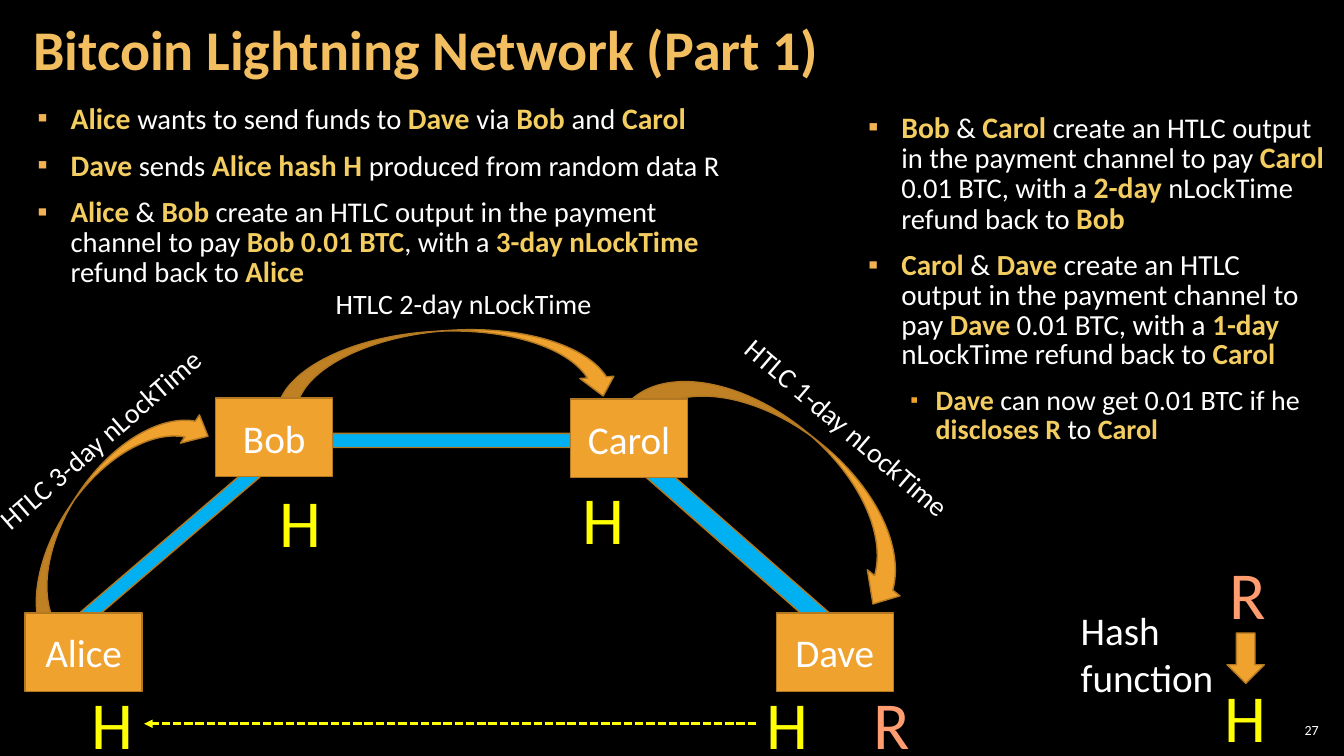
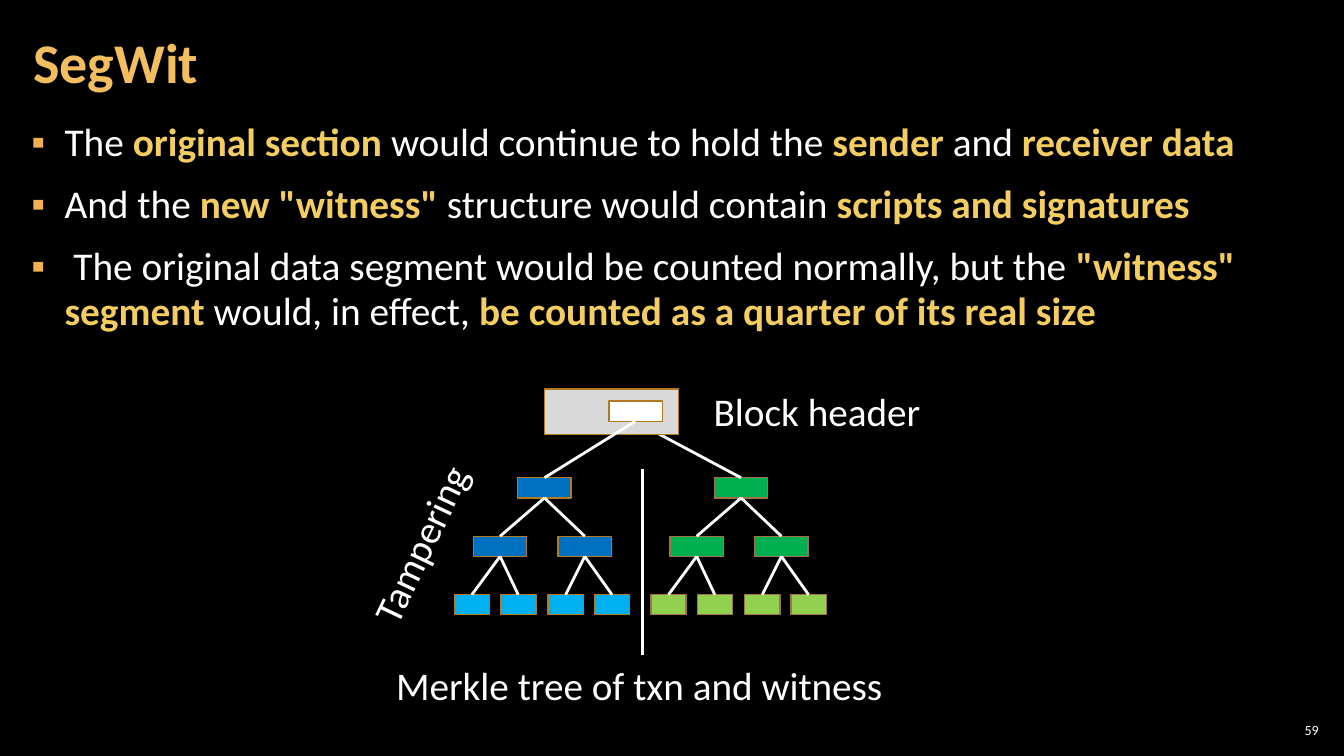
from lxml.etree import SubElement
from pptx import Presentation
from pptx.dml.color import RGBColor
from pptx.enum.dml import MSO_LINE
from pptx.enum.shapes import MSO_CONNECTOR, MSO_SHAPE
from pptx.enum.text import MSO_ANCHOR, MSO_AUTO_SIZE, PP_ALIGN
from pptx.oxml.ns import qn
from pptx.util import Inches, Pt

FONT = "Calibri"
COLORS = {
    "background": "000000",
    "text": "FFFFFF",
    "title": "F3BE60",
    "emphasis": "F3CD60",
    "bullet": "F2B254",
    "orange": "F0A22E",
    "outline": "B27822",
    "witness_outline": "A27242",
    "channel": "00B0F0",
    "hash": "FFFF00",
    "secret": "FF9D71",
    "header": "D9D9D9",
    "dark_blue": "0070C0",
    "dark_green": "00B050",
    "light_green": "92D050",
}
TITLE_LAYOUT, TWO_CONTENT_LAYOUT = 1, 3

NODE_SIZE = (1.16, 0.78)
MERKLE_ROOT = (6.3, 4.18)
TREE_TOPS = (4.74, 5.32, 5.9)
TREE_WIDTHS = (0.53, 0.53, 0.35)
TREE_OFFSETS = ((0,), (-0.44, 0.4), (-0.72, -0.26, 0.21, 0.67))
TREE_NODE_HEIGHT = 0.2


def color(name):
    return RGBColor.from_string(COLORS[name])


def style_font(font, size, color_name="text", bold=False):
    font.name = FONT
    font.size = Pt(size)
    font.bold = bold
    font.color.rgb = color(color_name)


def place(shape, box):
    shape.left, shape.top, shape.width, shape.height = map(Inches, box)


def set_margins(frame, horizontal, vertical=0.04):
    frame.margin_left = frame.margin_right = Inches(horizontal)
    frame.margin_top = frame.margin_bottom = Inches(vertical)


def set_title(slide, text, box):
    title = slide.shapes.title
    place(title, box)
    frame = title.text_frame
    frame.auto_size = MSO_AUTO_SIZE.NONE
    frame.vertical_anchor = MSO_ANCHOR.MIDDLE
    set_margins(frame, 0.12)
    paragraph = frame.paragraphs[0]
    paragraph.text = text
    paragraph.alignment = PP_ALIGN.LEFT
    paragraph.line_spacing = 0.9
    style_font(paragraph.font, 40, "title", bold=True)


def set_bullet(paragraph, level):
    margin, hanging, color_name, percent = (
        (0.33, 0.33, "bullet", 100), (0.67, 0.25, "orange", 80))[level]
    paragraph.level = level
    properties = paragraph._p.get_or_add_pPr()
    properties.set("marL", str(Inches(margin)))
    properties.set("indent", str(-Inches(hanging)))
    bullet_color = SubElement(properties, qn("a:buClr"))
    SubElement(bullet_color, qn("a:srgbClr"), val=COLORS[color_name])
    SubElement(properties, qn("a:buSzPct"), val=str(percent * 1000))
    SubElement(properties, qn("a:buChar"), char="▪")


def fill_body(body, box, items, line_spacing):
    """Write (text, size, emphasis size, level) items; ** encloses emphasis."""
    place(body, box)
    frame = body.text_frame
    frame.auto_size = MSO_AUTO_SIZE.NONE
    frame.vertical_anchor = MSO_ANCHOR.TOP
    set_margins(frame, 0.12)
    for index, (text, size, emphasis_size, level) in enumerate(items):
        paragraph = frame.add_paragraph() if index else frame.paragraphs[0]
        set_bullet(paragraph, level)
        paragraph.line_spacing = line_spacing
        paragraph.space_before = Pt(6 if index else 0)
        paragraph.space_after = Pt(6)
        style_font(paragraph.font, size)
        for position, part in enumerate(text.split("**")):
            if not part:
                continue
            run = paragraph.add_run()
            run.text = part
            if position % 2:
                style_font(run.font, emphasis_size, "emphasis", bold=True)


def add_slide_number(slide, number):
    frame = slide.shapes.add_textbox(
        *map(Inches, (12.65, 7.14, 0.47, 0.21))).text_frame
    frame.word_wrap = True
    frame.vertical_anchor = MSO_ANCHOR.MIDDLE
    set_margins(frame, 0.04)
    paragraph = frame.paragraphs[0]
    paragraph.text = str(number)
    paragraph.alignment = PP_ALIGN.RIGHT
    style_font(paragraph.font, 10)


def add_label(slide, text, box, size=28, color_name="text", rotation=0):
    label = slide.shapes.add_textbox(*map(Inches, box))
    label.rotation = rotation
    frame = label.text_frame
    frame.word_wrap = False
    frame.auto_size = MSO_AUTO_SIZE.SHAPE_TO_FIT_TEXT
    paragraph = frame.paragraphs[0]
    paragraph.text = text
    style_font(paragraph.font, size, color_name)


def add_filled_shape(slide, kind, box, fill, outline="outline", rotation=0):
    shape = slide.shapes.add_shape(kind, *map(Inches, box))
    shape.shadow.inherit = False
    shape.rotation = rotation
    shape.fill.solid()
    shape.fill.fore_color.rgb = color(fill)
    shape.line.color.rgb = color(outline)
    shape.line.width = Pt(1)
    return shape


def add_curved_arrow(slide, box, rotation):
    arrow = add_filled_shape(slide, MSO_SHAPE.CURVED_RIGHT_ARROW, box,
                             "orange", rotation=rotation)
    arrow._element.spPr.get_or_add_xfrm().set("flipV", "1")
    arrow.adjustments[1] = 0.45


def add_person(slide, name, left, top):
    box = add_filled_shape(slide, MSO_SHAPE.RECTANGLE,
                           (left, top, *NODE_SIZE), "orange")
    box.text_frame.vertical_anchor = MSO_ANCHOR.MIDDLE
    paragraph = box.text_frame.paragraphs[0]
    paragraph.text = name
    paragraph.alignment = PP_ALIGN.CENTER
    style_font(paragraph.font, 28)


def add_line(slide, start, end, color_name="text"):
    line = slide.shapes.add_connector(
        MSO_CONNECTOR.STRAIGHT, *map(Inches, (*start, *end)))
    line.line.color.rgb = color(color_name)
    line.line.width = Pt(2)
    SubElement(line._element.spPr, qn("a:effectLst"))
    return line


def add_merkle_tree(slide, center, branch_fill, leaf_fill, outline):
    """Draw three levels of nodes, then the links from each to its parent."""
    links = []
    parents = [MERKLE_ROOT]
    levels = zip(TREE_TOPS, TREE_WIDTHS, TREE_OFFSETS,
                 (branch_fill, branch_fill, leaf_fill))
    for top, width, offsets, fill in levels:
        for index, offset in enumerate(offsets):
            middle = center + offset
            add_filled_shape(
                slide, MSO_SHAPE.RECTANGLE,
                (middle - width / 2, top, width, TREE_NODE_HEIGHT),
                fill, outline)
            links.append((parents[index // 2], (middle, top)))
        parents = [(center + offset, top + TREE_NODE_HEIGHT)
                   for offset in offsets]
    for start, end in links:
        add_line(slide, start, end)


def build_lightning_slide(presentation):
    slide = presentation.slides.add_slide(
        presentation.slide_layouts[TWO_CONTENT_LAYOUT])
    set_title(slide, "Bitcoin Lightning Network (Part 1)",
              (0.21, 0.02, 10.47, 1))
    fill_body(slide.placeholders[1], (0.25, 1, 7.24, 2.3), [
        ("**Alice **wants to send funds to **Dave **via** Bob **and** Carol**",
         20.4, 21.2, 0),
        ("**Dave** sends **Alice** **hash H** produced from random data R",
         20.4, 21.2, 0),
        ("**Alice** & **Bob** create an HTLC output in the payment channel "
         "to pay **Bob** **0.01 BTC**, with a **3-day nLockTime **refund "
         "back to **Alice**", 20.4, 20.8, 0),
    ], 0.85)
    fill_body(slide.placeholders[2], (8.49, 1.09, 4.77, 3.6), [
        ("**Bob** & **Carol** create an HTLC output in the payment channel "
         "to pay **Carol** 0.01 BTC, with a **2-day** nLockTime refund back "
         "to **Bob**", 20.4, 21.2, 0),
        ("**Carol** & **Dave** create an HTLC output in the payment channel "
         "to pay **Dave** 0.01 BTC, with a **1-day **nLockTime refund back "
         "to **Carol**", 20.8, 20.8, 0),
        ("**Dave **can now get 0.01 BTC if he **discloses R** to **Carol**",
         20, 20, 1),
    ], 0.85)

    add_filled_shape(slide, MSO_SHAPE.DOWN_ARROW, (12.17, 6.28, 0.37, 0.5),
                     "orange")
    add_label(slide, "Hash\nfunction", (10.62, 5.97, 1.54, 1.04))
    for left, top in ((12.1, 5.43), (8.57, 6.72)):
        add_label(slide, "R", (left, top, 0.57, 0.91), 48, "secret")
    for left, top in ((12.05, 6.65), (7.5, 6.72), (0.81, 6.72),
                      (2.67, 4.72), (5.68, 4.69)):
        add_label(slide, "H", (left, top, 0.62, 0.91), 48, "hash")

    hash_arrow = add_line(slide, (7.5, 7.18), (1.43, 7.18), "hash")
    hash_arrow.line.dash_style = MSO_LINE.SQUARE_DOT
    SubElement(hash_arrow.line._get_or_add_ln(), qn("a:tailEnd"),
               type="triangle")

    for days, arrow_box, arrow_rotation, left, top, label_rotation in (
            (1, (7.34, 3.04, 0.92, 3.35), 128.7, 7.03, 4.03, 40.5),
            (3, (0.69, 3.74, 0.75, 2.8), 33.9, -0.38, 4.13, 318.9),
            (2, (4.05, 1.95, 0.75, 3.41), 86.2, 3.23, 2.79, 0)):
        add_curved_arrow(slide, arrow_box, arrow_rotation)
        add_label(slide, f"HTLC {days}-day nLockTime",
                  (left, top, 2.76, 0.44), 20, rotation=label_rotation)

    for box, rotation in (((5.47, 5.12, 3.47, 0.38), 41.3),
                          ((0.19, 5.15, 3.26, 0.28), 319.4),
                          ((2.88, 4.23, 3.26, 0.28), 0)):
        add_filled_shape(slide, MSO_SHAPE.RIGHT_ARROW, box, "channel",
                         rotation=rotation)
    for name, left, top in (("Alice", 0.25, 6.08), ("Bob", 2.14, 3.95),
                            ("Carol", 5.66, 3.96), ("Dave", 7.7, 6.08)):
        add_person(slide, name, left, top)
    add_slide_number(slide, 27)


def build_segwit_slide(presentation):
    slide = presentation.slides.add_slide(
        presentation.slide_layouts[TITLE_LAYOUT])
    set_title(slide, "SegWit", (0.21, 0.04, 10.47, 1.21))
    fill_body(slide.placeholders[1], (0.19, 1.16, 12.91, 2.88), [
        (text, 28.1, 28.1, 0) for text in (
            "The **original section **would continue to hold the **sender** "
            "and **receiver data**",
            "And the **new \"witness\" **structure would contain "
            "**scripts and signatures**",
            " The original data segment would be counted normally, but the "
            "**\"witness\" segment** would, in effect, "
            "**be counted as a quarter of its real size**",
        )], 0.95)

    add_merkle_tree(slide, 7.35, "dark_green", "light_green",
                    "witness_outline")
    add_filled_shape(slide, MSO_SHAPE.RECTANGLE, (5.4, 3.86, 1.33, 0.45),
                     "header")
    add_filled_shape(slide, MSO_SHAPE.RECTANGLE, (6.04, 3.98, 0.53, 0.2),
                     "text")
    add_merkle_tree(slide, 5.4, "dark_blue", "channel", "outline")
    add_line(slide, (6.37, 4.65), (6.37, 6.5))

    add_label(slide, "Block header", (6.98, 3.79, 2.27, 0.57))
    add_label(slide, "Merkle tree of txn and witness",
              (3.83, 6.51, 5.08, 0.57))
    add_label(slide, "Tampering", (3.23, 5.1, 1.88, 0.57), rotation=295.5)
    add_slide_number(slide, 59)


def main():
    presentation = Presentation()
    presentation.slide_width = Inches(13.33)
    presentation.slide_height = Inches(7.5)
    background = presentation.slide_master.background.fill
    background.solid()
    background.fore_color.rgb = color("background")
    build_lightning_slide(presentation)
    build_segwit_slide(presentation)
    presentation.save("out.pptx")


if __name__ == "__main__":
    main()
